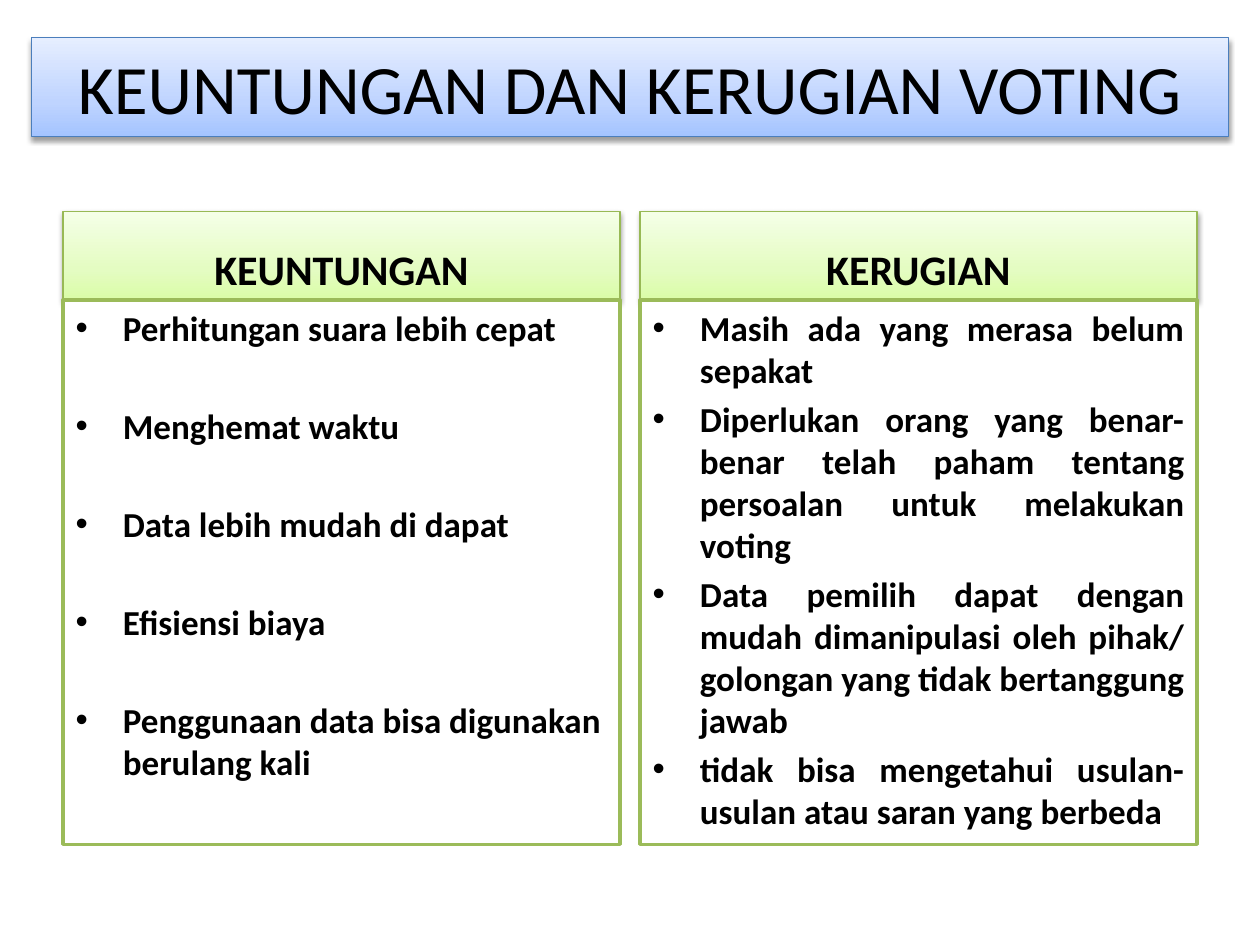
from copy import deepcopy

from lxml import etree
from pptx import Presentation
from pptx import util as u
from pptx.dml.color import RGBColor
from pptx.enum import text
from pptx.oxml.ns import qn

COMPARISON_LAYOUT = 4
LEFT, GAP, COLUMN_WIDTH = 36, 11.5, 318.25
HEADER_TOP, HEADER_HEIGHT, LIST_HEIGHT = 121, 50.5, 311


def rgb(value):
    return RGBColor.from_string(value)


class ComparisonSlide:
    FONT = "Calibri"
    INK = "000000"
    BLUE = ("A4C4FF", "BFD4FF", "E6EEFF")
    GREEN = ("DAFDA7", "E4FCC2", "F5FFE7")
    STOPS = (0, 0.35, 1)

    def __init__(self, deck):
        layout = deck.slide_layouts[COMPARISON_LAYOUT]
        self.page = deck.slides.add_slide(layout)

    def place(self, index, left, top, width, height, line, line_width):
        box = self.page.placeholders[index]
        box.left, box.top = u.Pt(left), u.Pt(top)
        box.width, box.height = u.Pt(width), u.Pt(height)
        box.line.color.rgb = rgb(line)
        box.line.width = u.Pt(line_width)
        box.text_frame.word_wrap = True
        box.text_frame.auto_size = text.MSO_AUTO_SIZE.NONE
        return box

    def set_lines(self, box, lines, size, align, anchor, bold=True, gap=0):
        frame = box.text_frame
        frame.vertical_anchor = anchor
        for number, line in enumerate(lines):
            para = frame.add_paragraph() if number else frame.paragraphs[0]
            para.text = line
            para.alignment = align
            para.space_before = u.Pt(gap if number else 0)
            para.font.name = self.FONT
            para.font.size = u.Pt(size)
            para.font.bold = bold
            para.font.color.rgb = rgb(self.INK)

    def shade(self, box, colors):
        """Give the box a three-stop vertical gradient and a soft shadow below."""
        box.fill.gradient()
        box.fill.gradient_angle = 90
        stop_list = box.element.spPr.find(".//" + qn("a:gsLst"))
        stop_list.append(deepcopy(stop_list[-1]))
        for stop, position, color in zip(box.fill.gradient_stops, self.STOPS, colors):
            stop.position = position
            stop.color.rgb = rgb(color)

        box.shadow.inherit = False
        effects = box.element.spPr.find(qn("a:effectLst"))
        shadow = etree.SubElement(
            effects, qn("a:outerShdw"), blurRad=str(u.Pt(3.1)),
            dist=str(u.Pt(1.6)), dir="5400000", rotWithShape="0")
        color = etree.SubElement(shadow, qn("a:srgbClr"), val=self.INK)
        etree.SubElement(color, qn("a:alpha"), val="38000")

    def title(self, words):
        box = self.place(0, 18, 21.6, 684, 56.4, "4B7EBC", 0.75)
        self.shade(box, self.BLUE)
        self.set_lines(box, [words], 39.6, text.PP_ALIGN.CENTER,
                       text.MSO_ANCHOR.MIDDLE, bold=False)

    def column(self, number, heading, points, align, gap):
        left = LEFT + number * (COLUMN_WIDTH + GAP)
        index = 1 + 2 * number
        header = self.place(index, left, HEADER_TOP, COLUMN_WIDTH,
                            HEADER_HEIGHT, "98B955", 0.75)
        self.shade(header, self.GREEN)
        self.set_lines(header, [heading], 24, text.PP_ALIGN.CENTER,
                       text.MSO_ANCHOR.BOTTOM)

        body = self.place(index + 1, left, HEADER_TOP + HEADER_HEIGHT,
                          COLUMN_WIDTH, LIST_HEIGHT, "9BBB59", 2)
        body.fill.solid()
        body.fill.fore_color.rgb = rgb("FFFFFF")
        self.set_lines(body, points, 20, align, text.MSO_ANCHOR.TOP, gap=gap)


def main():
    deck = Presentation()
    deck.slide_width, deck.slide_height = u.Pt(720), u.Pt(540)
    slide = ComparisonSlide(deck)
    slide.title("KEUNTUNGAN DAN KERUGIAN VOTING")
    slide.column(0, "KEUNTUNGAN", [
        "Perhitungan suara lebih cepat",
        "Menghemat waktu",
        "Data lebih mudah di dapat",
        "Efisiensi biaya",
        "Penggunaan data bisa digunakan berulang kali",
    ], text.PP_ALIGN.LEFT, gap=32)
    slide.column(1, "KERUGIAN", [
        "Masih ada yang merasa belum sepakat",
        "Diperlukan orang yang benar-benar telah paham tentang persoalan "
        "untuk melakukan voting",
        "Data pemilih dapat dengan mudah dimanipulasi oleh pihak/ golongan "
        "yang tidak bertanggung jawab",
        "tidak bisa mengetahui usulan-usulan atau saran yang berbeda",
    ], text.PP_ALIGN.JUSTIFY, gap=4)
    deck.save("out.pptx")


if __name__ == "__main__":
    main()
